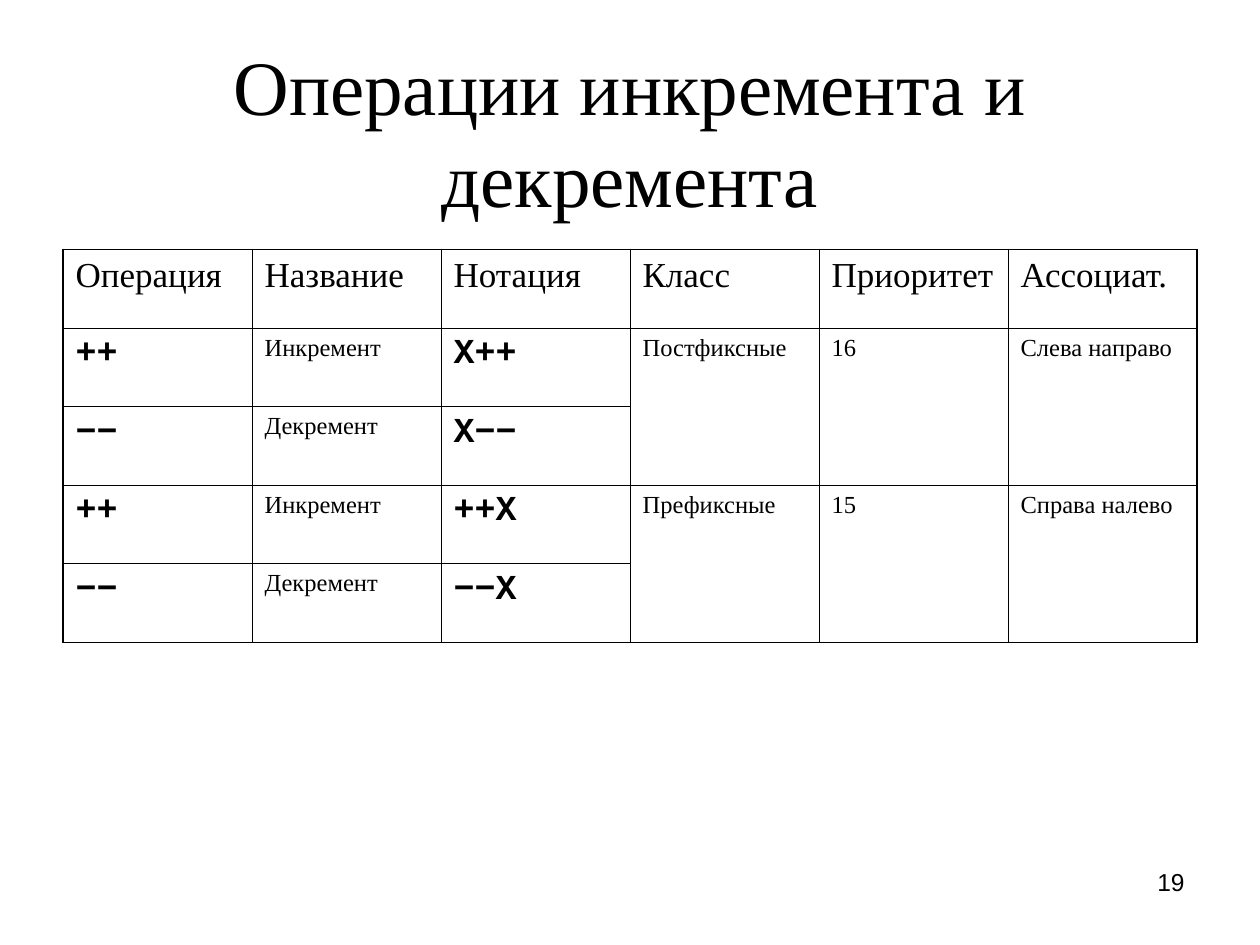
from dataclasses import dataclass

from lxml.etree import SubElement
from pptx import Presentation
from pptx.dml.color import RGBColor as Color
from pptx.enum.text import MSO_ANCHOR as Anchor, MSO_AUTO_SIZE as AutoSize, PP_ALIGN as Align
from pptx.oxml.ns import qn
from pptx.util import Inches, Pt


@dataclass(frozen=True)
class Theme:
    """Colours, fonts, type sizes and line widths of the slide."""
    ink: str = "000000"
    serif: str = "Times New Roman"
    code: str = "Courier New"
    sans: str = "Arial"
    title: int = 44
    large: int = 20
    small: int = 14
    thin: float = 0.45
    thick: float = 1.08


THEME = Theme()
HEADERS = ["Операция", "Название", "Нотация", "Класс", "Приоритет", "Ассоциат."]
OPERATIONS = [
    ["++", "Инкремент", "X++", "Постфиксные", "16", "Слева направо"],
    ["−−", "Декремент", "X−−"],
    ["++", "Инкремент", "++X", "Префиксные", "15", "Справа налево"],
    ["−−", "Декремент", "−−X"],
]
CODE_COLUMNS = (0, 2)
SHARED_COLUMNS = (3, 4, 5)


def write_text(frame, text, name, size, bold=False, align=Align.LEFT):
    """Fill a text frame with one formatted paragraph."""
    frame.word_wrap = True
    para = frame.paragraphs[0]
    para.alignment = align
    span = para.add_run()
    span.text = text
    for key, value in {"name": name, "size": Pt(size), "bold": bold}.items():
        setattr(span.font, key, value)
    span.font.color.rgb = Color.from_string(THEME.ink)


def place(box, left, top, width, height):
    """Set the position and size of a box in inches."""
    for key, value in {"left": left, "top": top, "width": width, "height": height}.items():
        setattr(box, key, Inches(value))


def add_title(page, text):
    """Move and fill the title placeholder."""
    box = page.shapes.title
    place(box, 0.5, 0.3, 9, 1.48)
    frame = box.text_frame
    frame.auto_size = AutoSize.NONE
    frame.vertical_anchor = Anchor.MIDDLE
    write_text(frame, text, THEME.serif, THEME.title, align=Align.CENTER)


def draw_borders(cell, thick_sides):
    """Draw the four borders of a cell, thick on the given sides."""
    properties = cell._tc.get_or_add_tcPr()
    for side in "LRTB":
        width = THEME.thick if side in thick_sides else THEME.thin
        line = SubElement(properties, qn(f"a:ln{side}"), w=str(Pt(width)))
        fill = SubElement(line, qn("a:solidFill"))
        SubElement(fill, qn("a:srgbClr"), val=THEME.ink)


def outer_sides(row, column, last_row, last_column):
    """Name the sides of a cell that lie on the table's outline."""
    edges = {"L": column == 0, "R": column == last_column,
             "T": row == 0, "B": row == last_row}
    return [side for side, outer in edges.items() if outer]


def cell_style(row, column):
    """Choose the font of a cell by its row and column."""
    if row == 0:
        return {"name": THEME.serif, "size": THEME.large}
    if column in CODE_COLUMNS:
        return {"name": THEME.code, "size": THEME.large, "bold": True}
    return {"name": THEME.serif, "size": THEME.small}


def add_operations_table(page):
    """Add the table of operations with its shared cells merged in pairs."""
    rows = [HEADERS, *OPERATIONS]
    frame = page.shapes.add_table(len(rows), len(HEADERS), Inches(0.5), Inches(1.98),
                                  Inches(9), Inches(3.12))
    table = frame.table
    table.first_row = table.horz_banding = False
    for row in range(len(rows)):
        for column in range(len(HEADERS)):
            cell = table.cell(row, column)
            draw_borders(cell, outer_sides(row, column, len(rows) - 1, len(HEADERS) - 1))
            cell.fill.background()
    for row in range(1, len(rows), 2):
        for column in SHARED_COLUMNS:
            table.cell(row, column).merge(table.cell(row + 1, column))
    for row, texts in enumerate(rows):
        for column, text in enumerate(texts):
            write_text(table.cell(row, column).text_frame, text, **cell_style(row, column))


def add_page_number(page, number):
    """Add the page number at the lower right."""
    box = page.shapes.add_textbox(Inches(7.17), Inches(6.83), Inches(2.33), Inches(0.52))
    write_text(box.text_frame, number, THEME.sans, THEME.small, align=Align.RIGHT)


def main():
    """Build and save the slide."""
    deck = Presentation()
    deck.slide_width, deck.slide_height = Inches(10), Inches(7.5)
    page = deck.slides.add_slide(deck.slide_layouts[5])
    add_title(page, "Операции инкремента и декремента")
    add_operations_table(page)
    add_page_number(page, "19")
    deck.save("out.pptx")


if __name__ == "__main__":
    main()
